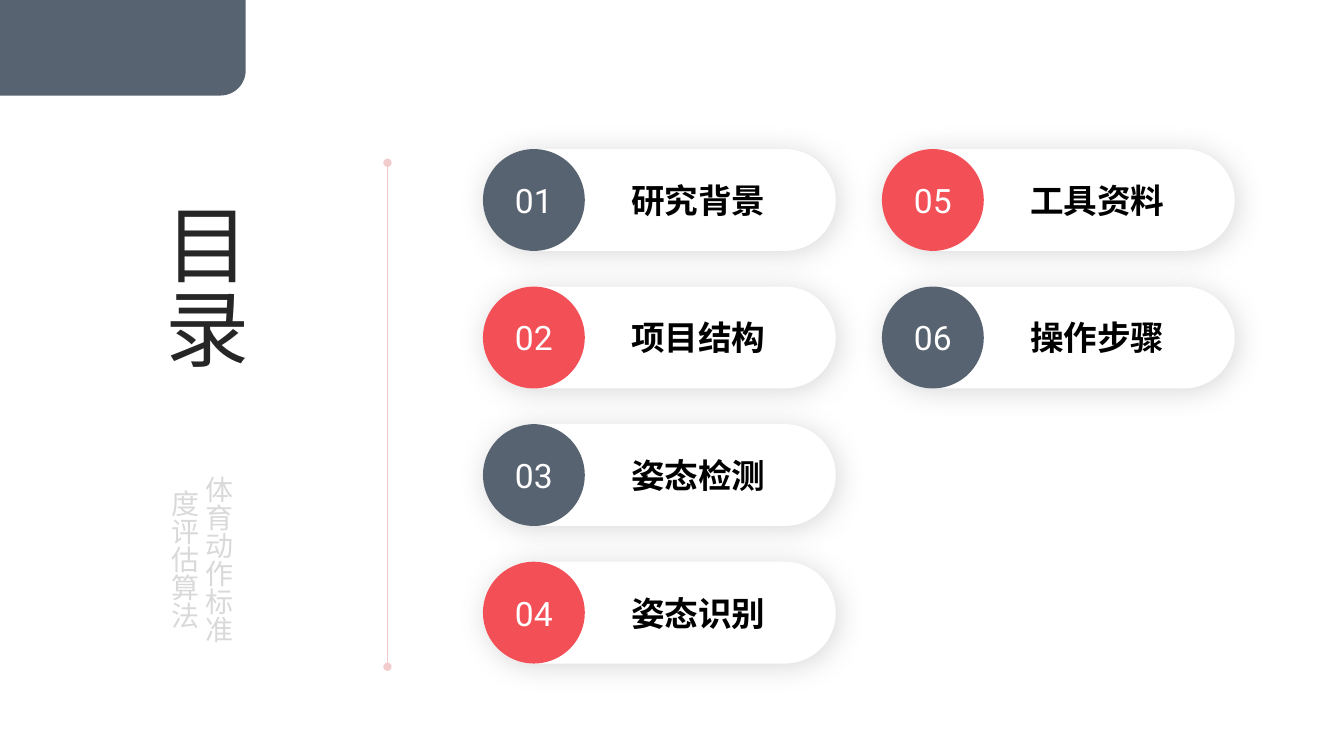
import math
from dataclasses import dataclass
from lxml import etree
from pptx import Presentation
from pptx import util as u
from pptx.dml.color import RGBColor
from pptx.enum import shapes, text
from pptx.oxml.ns import qn

# Content
TITLE = "目录"
SUBTITLE = "体育动作标准度评估算法"
COLUMNS = [
    ["研究背景", "项目结构", "姿态检测", "姿态识别"],
    ["工具资料", "操作步骤"],
]


@dataclass(frozen=True)
class Theme:
    slate: str = "586371"
    red: str = "F34F56"
    white: str = "FFFFFF"
    ink: str = "000000"
    title: str = "262626"
    muted: str = "D9D9D9"
    rule: str = "C00000"
    shadow: str = "808080"
    font: str = "Roboto"
    label_font: str = "Karla"
    title_size: int = 60
    item_size: int = 24
    subtitle_size: int = 20


T = Theme()

# Layout in px
SLIDE_W, SLIDE_H = 1280, 720
TAB_W, TAB_H, TAB_R = 234, 91, 24
TITLE_BOX = (123, 188, 144, 223)
SUBTITLE_BOX = (107, 444, 170, 193)
RULE_X, RULE_TOP, RULE_BOTTOM = 369, 155, 635
CARD_X, CARD_Y, CARD_W, CARD_H = 460, 142, 336, 97
COL_STEP, ROW_STEP = 380, 131
LABEL_DX, LABEL_W = 131, 187


def px(n):
    return u.Emu(round(n * 9525))


def rgb(value):
    return RGBColor.from_string(value)


def child(parent, tag, **attrs):
    return etree.SubElement(parent, qn(tag), **attrs)


def place(sp, box):
    sp.left, sp.top, sp.width, sp.height = map(px, box)


def paint(sp, color):
    sp.fill.solid()
    sp.fill.fore_color.rgb = rgb(color)
    sp.line.fill.background()
    sp.shadow.inherit = False


def write(sp, words, font, size, color, align, bold=False, vertical=False, inset=None):
    tf = sp.text_frame
    tf.text = words
    tf.word_wrap = True
    tf.auto_size = text.MSO_AUTO_SIZE.NONE
    tf.vertical_anchor = text.MSO_ANCHOR.MIDDLE
    if inset is not None:
        tf.margin_left = tf.margin_right = px(inset)
        tf.margin_top = tf.margin_bottom = 0
    if vertical:
        tf._txBody.bodyPr.set("vert", "eaVert")
    p = tf.paragraphs[0]
    p.alignment = align
    r = p.runs[0]
    r.font.name, r.font.size, r.font.bold = font, u.Pt(size), bold
    r.font.color.rgb = rgb(color)


def add_tab(s):
    """Corner block with a rounded lower-right corner."""
    arc = [math.radians(a) for a in range(0, 91, 5)]
    cx, cy = TAB_W - TAB_R, TAB_H - TAB_R
    points = [(TAB_W, 0)]
    points += [(cx + TAB_R * math.cos(a), cy + TAB_R * math.sin(a)) for a in arc]
    points.append((0, TAB_H))
    fb = s.shapes.build_freeform(0, 0, scale=1.0)
    fb.add_line_segments([(px(x), px(y)) for x, y in points], close=True)
    paint(fb.convert_to_shape(), T.slate)


def add_rule(s):
    """Faint vertical line with a dot at each end."""
    rule = s.shapes.add_connector(
        shapes.MSO_CONNECTOR.STRAIGHT, *map(px, (RULE_X, RULE_TOP, RULE_X, RULE_BOTTOM)))
    rule.line.width = u.Pt(0.5)
    rule.line.color.rgb = rgb(T.rule)
    spPr = rule._element.spPr
    ln = spPr.find(qn("a:ln"))
    child(ln.find(".//" + qn("a:srgbClr")), "a:alpha", val="20000")
    child(ln, "a:headEnd", type="oval")
    child(ln, "a:tailEnd", type="oval")
    child(spPr, "a:effectLst")


def add_card(s, x, y, number, label, color):
    card = s.shapes.add_shape(
        shapes.MSO_SHAPE.ROUNDED_RECTANGLE, *map(px, (x, y, CARD_W, CARD_H)))
    card.adjustments[0] = 0.5
    paint(card, T.white)
    shadow = child(card._element.spPr.find(qn("a:effectLst")), "a:outerShdw",
                   blurRad=str(u.Pt(20)), dist=str(u.Pt(3)), dir="2700000",
                   algn="tl", rotWithShape="0")
    child(child(shadow, "a:srgbClr", val=T.shadow), "a:alpha", val="30000")

    badge = s.shapes.add_shape(
        shapes.MSO_SHAPE.OVAL, *map(px, (x, y, CARD_H, CARD_H)))
    paint(badge, color)
    write(badge, f"{number:02d}", T.font, T.item_size, T.white,
          text.PP_ALIGN.CENTER, inset=0)

    name = s.shapes.add_textbox(*map(px, (x + LABEL_DX, y, LABEL_W, CARD_H)))
    write(name, label, T.label_font, T.item_size, T.ink,
          text.PP_ALIGN.LEFT, bold=True, inset=10)


def main():
    prs = Presentation()
    prs.slide_width, prs.slide_height = px(SLIDE_W), px(SLIDE_H)
    s = prs.slides.add_slide(prs.slide_layouts[5])

    # Corner block and rule
    add_tab(s)
    add_rule(s)

    # Vertical title and subtitle
    title = s.shapes.title
    place(title, TITLE_BOX)
    write(title, TITLE, T.font, T.title_size, T.title,
          text.PP_ALIGN.LEFT, vertical=True)
    subtitle = s.shapes.add_textbox(*map(px, SUBTITLE_BOX))
    write(subtitle, SUBTITLE, T.font, T.subtitle_size, T.muted,
          text.PP_ALIGN.CENTER, vertical=True)

    # Numbered cards, colours alternating like a chessboard
    number = 0
    for col, labels in enumerate(COLUMNS):
        for row, label in enumerate(labels):
            number += 1
            color = (T.slate, T.red)[(col + row) % 2]
            add_card(s, CARD_X + col * COL_STEP, CARD_Y + row * ROW_STEP,
                     number, label, color)

    prs.save("out.pptx")


if __name__ == "__main__":
    main()
